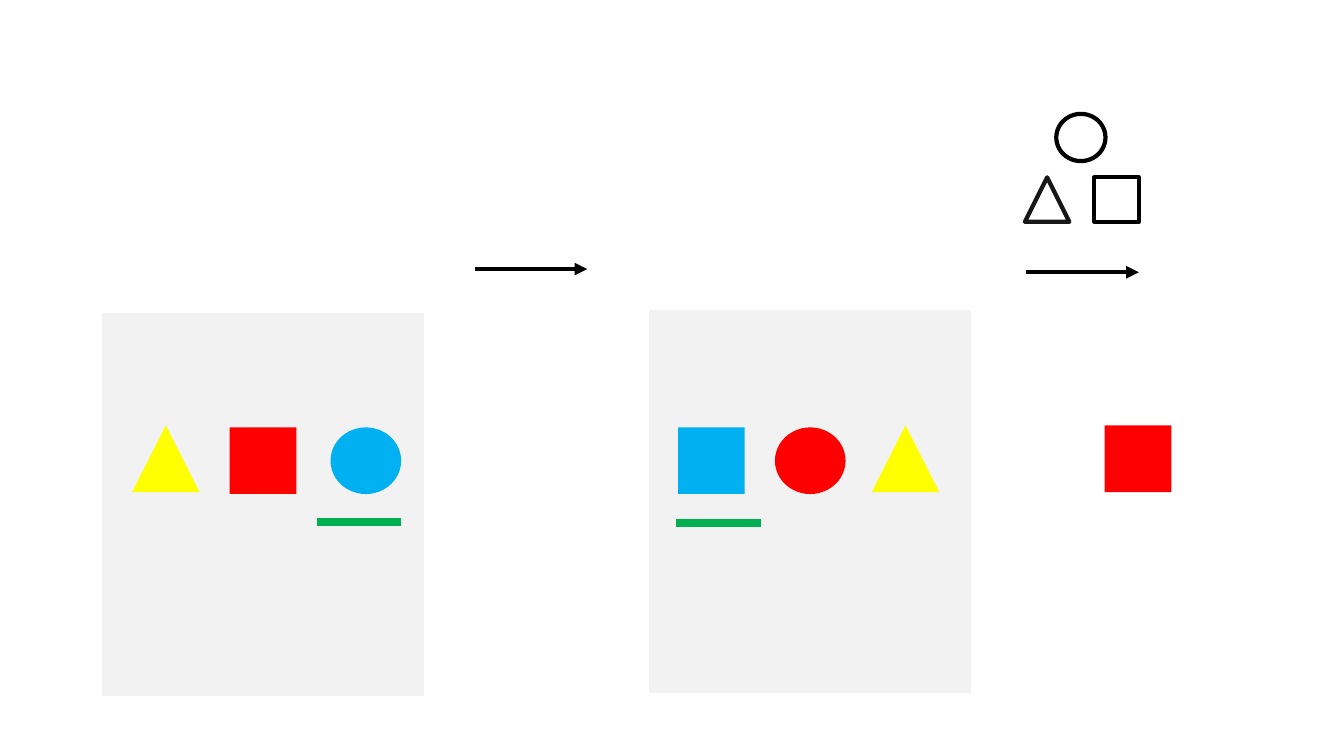
from dataclasses import dataclass
from typing import Optional

import pptx
import pptx.dml.color
import pptx.enum.shapes
import pptx.oxml
import pptx.oxml.ns
import pptx.util

Cm = pptx.util.Cm
Kind = pptx.enum.shapes.MSO_SHAPE

BLACK, GREY, GREEN = "000000", "F2F2F2", "00B050"
YELLOW, RED, BLUE = "FFFF00", "FF0000", "00B0F0"


@dataclass(frozen=True)
class Figure:
    """A preset shape; lengths in centimetres, line width in points."""
    kind: Kind
    left: float
    top: float
    width: float
    height: float
    fill: Optional[str] = None
    line: Optional[str] = None
    line_width: float = 3


@dataclass(frozen=True)
class Stroke:
    """A horizontal line; lengths in centimetres, line width in points."""
    left: float
    top: float
    length: float
    color: str
    width: float
    arrow: bool = False


def color(value: str) -> pptx.dml.color.RGBColor:
    return pptx.dml.color.RGBColor.from_string(value)


def panel(left: float, top: float) -> Figure:
    return Figure(Kind.RECTANGLE, left, top, 8.08, 9.63, GREY, GREY, 1)


def triangle(left: float, fill: str) -> Figure:
    return Figure(Kind.ISOSCELES_TRIANGLE, left, 10.72, 1.7, 1.68, fill)


def square(left: float, fill: str, top: float = 10.77) -> Figure:
    return Figure(Kind.RECTANGLE, left, top, 1.68, 1.68, fill)


def circle(left: float, fill: str) -> Figure:
    return Figure(Kind.OVAL, left, 10.77, 1.78, 1.68, fill)


def draw_figure(shapes, figure: Figure) -> None:
    shape = shapes.add_shape(figure.kind, Cm(figure.left), Cm(figure.top),
                             Cm(figure.width), Cm(figure.height))
    shape.shadow.inherit = False
    if figure.fill:
        shape.fill.solid()
        shape.fill.fore_color.rgb = color(figure.fill)
    else:
        shape.fill.background()
    if figure.line:
        shape.line.color.rgb = color(figure.line)
        shape.line.width = pptx.util.Pt(figure.line_width)
    else:
        shape.line.fill.background()


def draw_stroke(shapes, stroke: Stroke) -> None:
    connector = shapes.add_connector(
        pptx.enum.shapes.MSO_CONNECTOR.STRAIGHT,
        Cm(stroke.left), Cm(stroke.top),
        Cm(stroke.left + stroke.length), Cm(stroke.top))
    connector.line.color.rgb = color(stroke.color)
    connector.line.width = pptx.util.Pt(stroke.width)
    if stroke.arrow:
        head = pptx.oxml.parse_xml(
            f'<a:tailEnd {pptx.oxml.ns.nsdecls("a")} type="triangle"/>')
        connector.line._get_or_add_ln().append(head)
    effects = pptx.oxml.parse_xml(f'<a:effectLst {pptx.oxml.ns.nsdecls("a")}/>')
    connector._element.spPr.append(effects)


FIRST_CARD = [panel(2.59, 7.9), triangle(3.33, YELLOW),
              circle(8.33, BLUE), square(5.79, RED)]
SECOND_CARD = [panel(16.38, 7.82), triangle(21.97, YELLOW),
               circle(19.53, RED), square(17.09, BLUE)]
ARROWS = [Stroke(11.96, 6.78, 2.84, BLACK, 3, arrow=True),
          Stroke(25.86, 6.86, 2.84, BLACK, 3, arrow=True)]
UNDERLINES = [Stroke(17.04, 13.18, 2.13, GREEN, 6),
              Stroke(8, 13.16, 2.11, GREEN, 6)]
ANSWER = square(27.84, RED, top=10.72)
OUTLINES = [
    Figure(Kind.ISOSCELES_TRIANGLE, 25.83, 4.47, 1.12, 1.12, line="181717"),
    Figure(Kind.OVAL, 26.62, 2.87, 1.24, 1.19, line=BLACK),
    Figure(Kind.RECTANGLE, 27.58, 4.47, 1.12, 1.12, line=BLACK),
]


def main() -> None:
    presentation = pptx.Presentation()
    presentation.slide_width = Cm(33.87)
    presentation.slide_height = Cm(19.05)
    blank_layout = presentation.slide_layouts[6]
    slide = presentation.slides.add_slide(blank_layout)

    # Cards with coloured figures
    for figure in FIRST_CARD + SECOND_CARD:
        draw_figure(slide.shapes, figure)

    # Arrows between the steps and underlines of the chosen figures
    for stroke in ARROWS + UNDERLINES:
        draw_stroke(slide.shapes, stroke)

    # Answer and the group of outlined choices
    draw_figure(slide.shapes, ANSWER)
    choices = slide.shapes.add_group_shape()
    for figure in OUTLINES:
        draw_figure(choices.shapes, figure)

    presentation.save("out.pptx")


if __name__ == "__main__":
    main()
